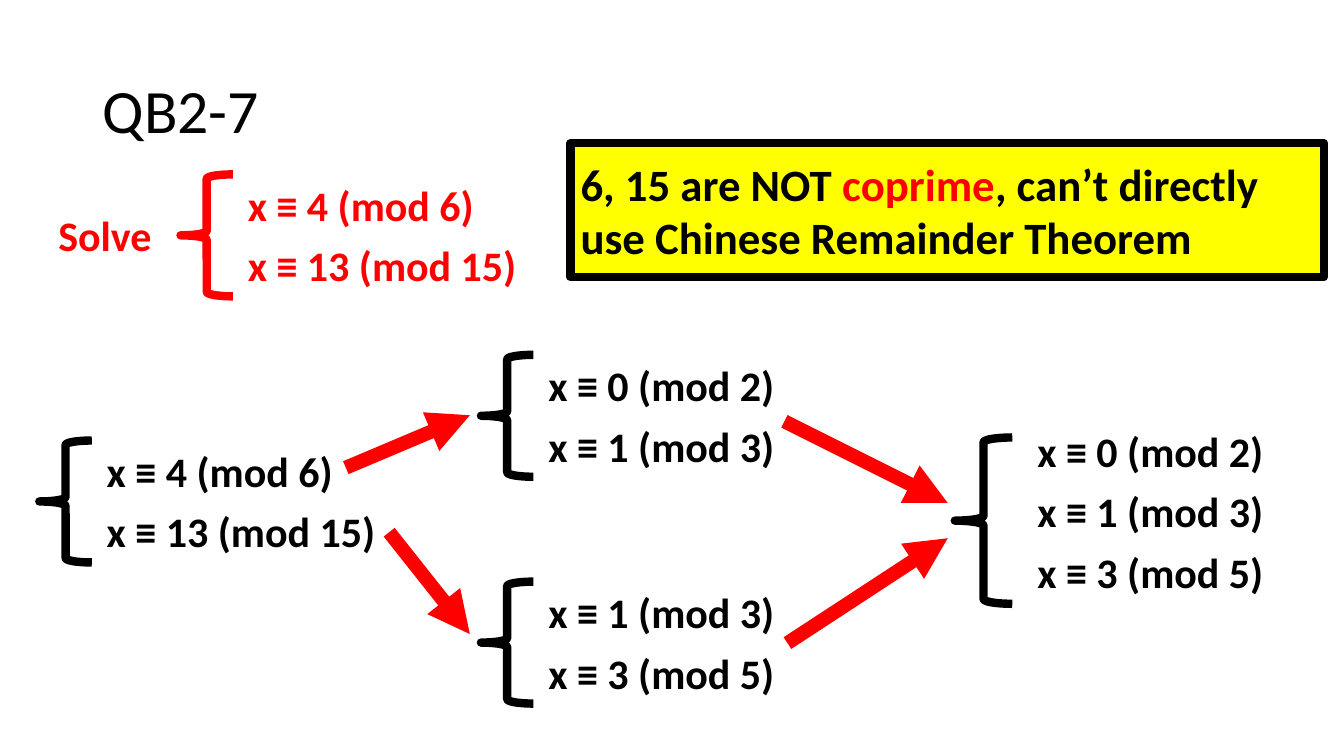
from lxml import etree
from pptx import Presentation
from pptx import util as u
from pptx.dml.color import RGBColor
from pptx.enum import shapes, text
from pptx.oxml.ns import qn

FONT = "Calibri"
BLACK, RED, YELLOW = "000000", "FF0000", "FFFF00"
ROW_STEP, ROW_HEIGHT = 0.6, 0.61


def color(value):
    return RGBColor.from_string(value)


def set_font(font, size, value, bold=True):
    font.name, font.size, font.bold = FONT, u.Pt(size), bold
    font.color.rgb = color(value)


def add_title(page, left, top, width, height, wording):
    title = page.shapes.title
    title.left, title.top = u.Inches(left), u.Inches(top)
    title.width, title.height = u.Inches(width), u.Inches(height)
    title.text_frame.vertical_anchor = text.MSO_ANCHOR.MIDDLE
    para = title.text_frame.paragraphs[0]
    para.text = wording
    para.alignment = text.PP_ALIGN.LEFT
    para.line_spacing = 0.9
    set_font(para.font, 44, BLACK, bold=False)


def add_label(page, left, top, width, wording, value):
    box = page.shapes.add_textbox(
        u.Inches(left), u.Inches(top), u.Inches(width), u.Inches(ROW_HEIGHT))
    box.text_frame.word_wrap = False
    box.text_frame.auto_size = text.MSO_AUTO_SIZE.SHAPE_TO_FIT_TEXT
    para = box.text_frame.paragraphs[0]
    para.text = wording
    set_font(para.font, 30, value)


def add_outlined(page, kind, left, top, width, height, line):
    shape = page.shapes.add_shape(
        kind, u.Inches(left), u.Inches(top), u.Inches(width), u.Inches(height))
    shape.shadow.inherit = False
    shape.fill.background()
    shape.line.color.rgb = color(line)
    shape.line.width = u.Pt(6)
    return shape


def add_system(page, left, top, congruences, value=BLACK,
               brace=(0, 0, 0.52, 1.21), indent=0.57):
    """Stack congruences to the right of a brace; brace is relative to left, top."""
    dx, dy, width, height = brace
    add_outlined(page, shapes.MSO_SHAPE.LEFT_BRACE,
                 left + dx, top + dy, width, height, value)
    for row, (residue, modulus) in enumerate(congruences):
        add_label(page, left + indent, top + row * ROW_STEP,
                  2.9 if modulus > 9 else 2.47,
                  f"x ≡ {residue} (mod {modulus})", value)


def add_warning(page, left, top, width, height):
    box = add_outlined(page, shapes.MSO_SHAPE.RECTANGLE,
                       left, top, width, height, BLACK)
    box.fill.solid()
    box.fill.fore_color.rgb = color(YELLOW)
    frame = box.text_frame
    frame.word_wrap = True
    frame.vertical_anchor = text.MSO_ANCHOR.MIDDLE
    para = frame.paragraphs[0]
    para.alignment = text.PP_ALIGN.LEFT
    for wording, value in (
            ("6, 15 are NOT ", BLACK),
            ("coprime", RED),
            (", can’t directly use Chinese Remainder Theorem", BLACK)):
        span = para.add_run()
        span.text = wording
        set_font(span.font, 32, value)


def add_arrow(page, start, end):
    arrow = page.shapes.add_connector(
        shapes.MSO_CONNECTOR.STRAIGHT, *map(u.Inches, start + end))
    arrow.line.color.rgb = color(RED)
    arrow.line.width = u.Pt(10)
    etree.SubElement(arrow.line._get_or_add_ln(), qn("a:tailEnd"), type="triangle")
    etree.SubElement(arrow._element.spPr, qn("a:effectLst"))


def add_question(page, left, top):
    add_label(page, left, top + 0.3, 1.14, "Solve", RED)
    add_system(page, left + 1.31, top, [(4, 6), (13, 15)], RED)


def add_decomposition(page, left, top):
    """Split the system into prime moduli, then merge the distinct congruences."""
    add_system(page, left, top + 0.85, [(4, 6), (13, 15)])
    add_system(page, left + 4.38, top, [(0, 2), (1, 3)])
    add_system(page, left + 4.38, top + 2.25, [(1, 3), (3, 5)])
    add_system(page, left + 9.08, top + 0.65, [(0, 2), (1, 3), (3, 5)],
               brace=(0, 0.17, 0.57, 1.65), indent=0.72)
    for x1, y1, x2, y2 in ((3.04, 1.12, 4.27, 0.6), (3.47, 1.76, 4.27, 2.77),
                           (7.39, 0.66, 9.01, 1.47), (7.42, 2.86, 9.01, 1.82)):
        add_arrow(page, (left + x1, top + y1), (left + x2, top + y2))


def main():
    deck = Presentation()
    deck.slide_width, deck.slide_height = u.Inches(13.33), u.Inches(7.5)
    page = deck.slides.add_slide(deck.slide_layouts.get_by_name("Title Only"))
    add_title(page, 0.92, 0.4, 11.5, 1.45, "QB2-7")
    add_question(page, 0.48, 1.73)
    add_warning(page, 5.66, 1.42, 7.47, 1.33)
    add_decomposition(page, 0.39, 3.52)
    deck.save("out.pptx")


if __name__ == "__main__":
    main()
